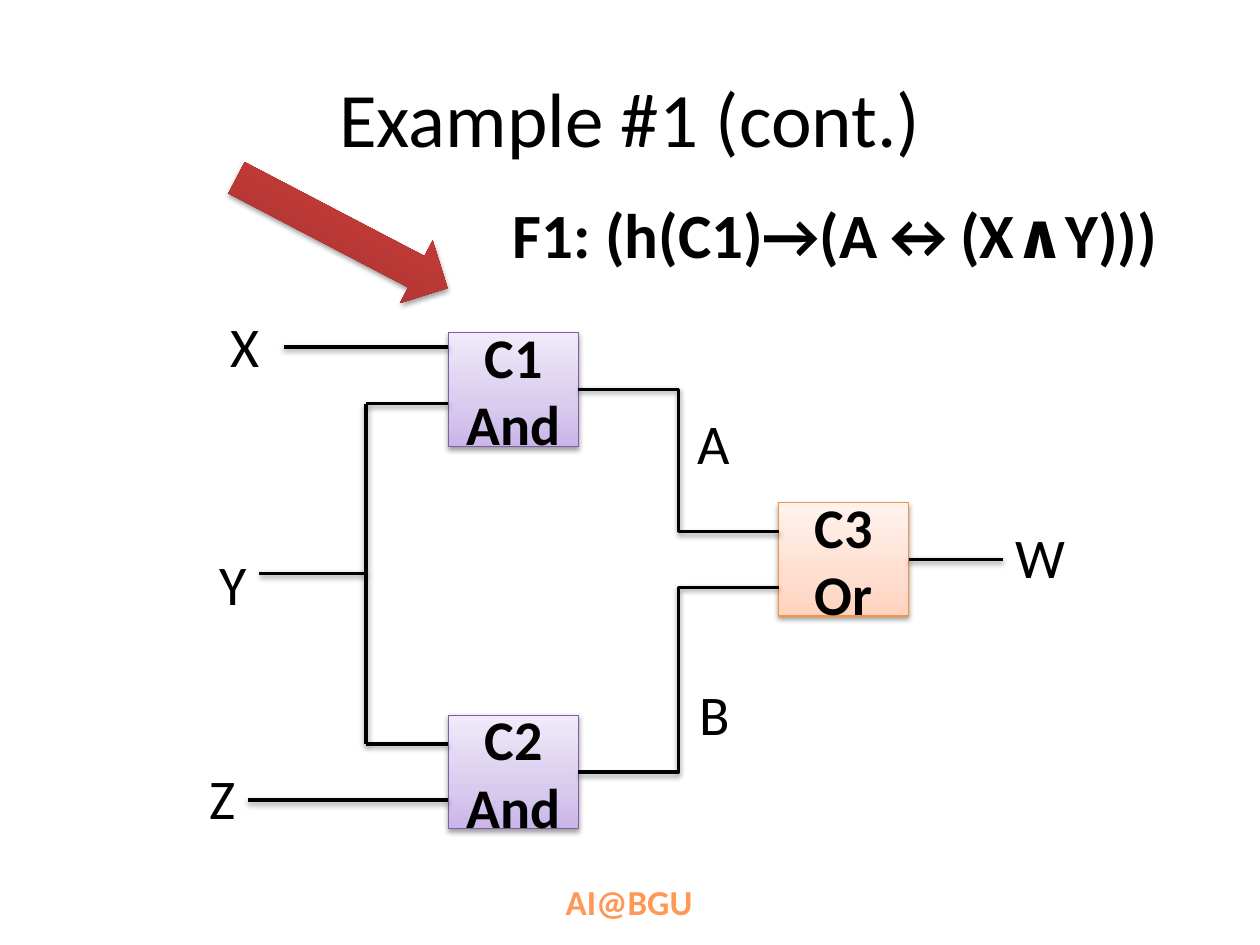
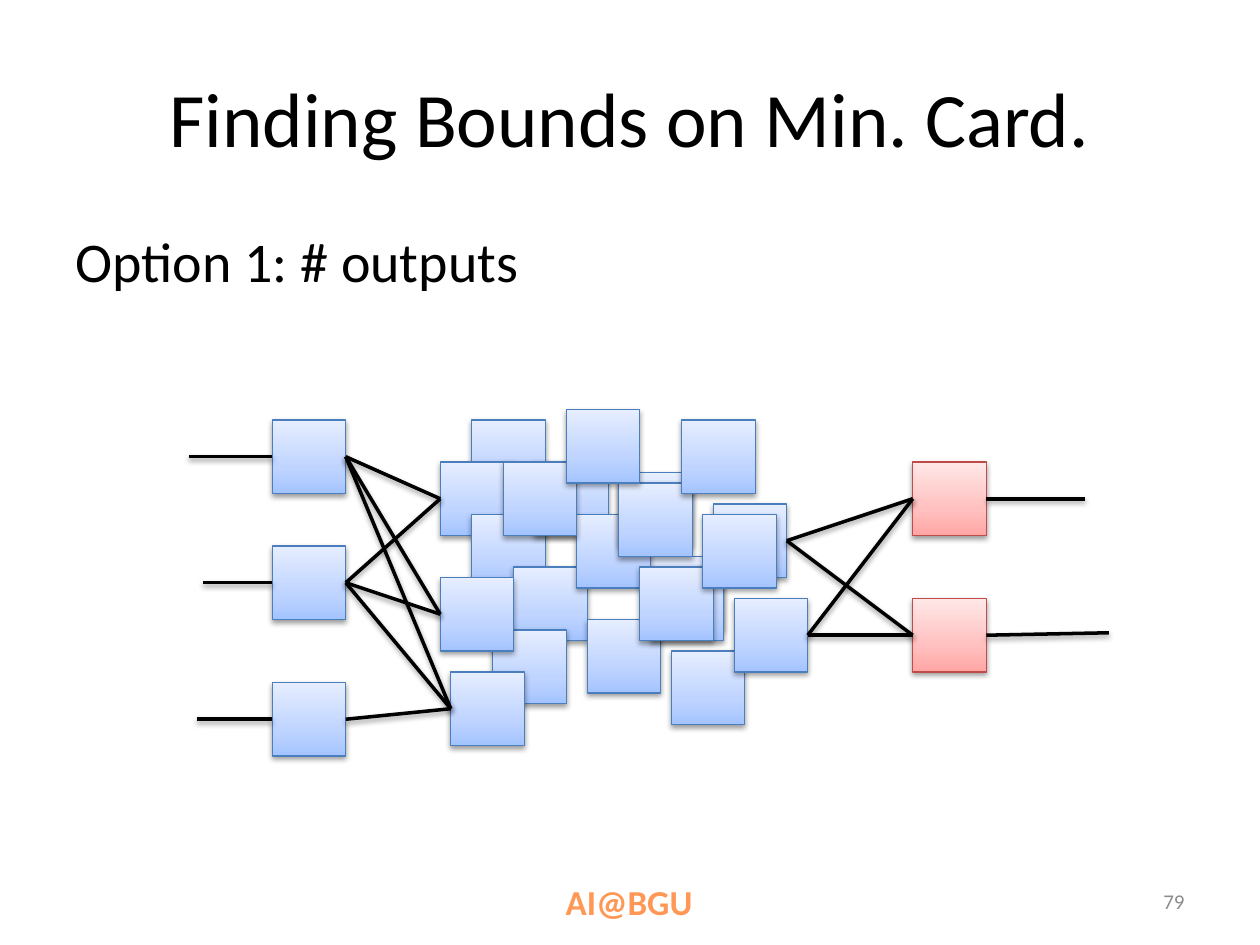
from copy import deepcopy

from pptx import Presentation
from pptx.dml.color import RGBColor
from pptx.enum.shapes import MSO_CONNECTOR, MSO_SHAPE
from pptx.enum.text import MSO_ANCHOR, PP_ALIGN
from pptx.oxml import parse_xml
from pptx.oxml.ns import nsdecls, qn
from pptx.util import Pt

RECTANGLE, RIGHT_ARROW = MSO_SHAPE.RECTANGLE, MSO_SHAPE.RIGHT_ARROW
STRAIGHT, ELBOW = MSO_CONNECTOR.STRAIGHT, MSO_CONNECTOR.ELBOW
LEFT, CENTER, RIGHT = PP_ALIGN.LEFT, PP_ALIGN.CENTER, PP_ALIGN.RIGHT
TOP, MIDDLE = MSO_ANCHOR.TOP, MSO_ANCHOR.MIDDLE

BLACK = RGBColor(0x00, 0x00, 0x00)
GREY = RGBColor(0x8C, 0x8C, 0x8C)
ORANGE = RGBColor(0xFF, 0x98, 0x56)
PURPLE_LINE = RGBColor(0x7D, 0x60, 0xA0)
PEACH_LINE = RGBColor(0xF6, 0x92, 0x40)
PINK_LINE = RGBColor(0xBF, 0x4C, 0x48)
BLUE_LINE = RGBColor(0x4B, 0x7E, 0xBC)
PURPLE = [(0, RGBColor(0xC9, 0xB5, 0xE8)), (0.35, RGBColor(0xD8, 0xCB, 0xEE)), (1, RGBColor(0xF0, 0xEA, 0xF9))]
PEACH = [(0, RGBColor(0xFF, 0xD2, 0xBD)), (0.35, RGBColor(0xFF, 0xDE, 0xD0)), (1, RGBColor(0xFF, 0xF2, 0xED))]
PINK = [(0, RGBColor(0xFF, 0xA6, 0xA5)), (0.35, RGBColor(0xFF, 0xC0, 0xBF)), (1, RGBColor(0xFF, 0xE7, 0xE7))]
BLUE = [(0, RGBColor(0xA4, 0xC4, 0xFF)), (0.35, RGBColor(0xBF, 0xD4, 0xFF)), (1, RGBColor(0xE6, 0xEE, 0xFF))]
RED = [(0, RGBColor(0x9C, 0x2F, 0x2D)), (0.8, RGBColor(0xCB, 0x3E, 0x3A)), (1, RGBColor(0xCE, 0x3B, 0x37))]

TITLE = {"size": Pt(44), "bold": False, "name": "Calibri"}
BODY = {"size": Pt(32), "bold": False, "name": "Calibri"}
GATE = {"size": Pt(32), "bold": True, "name": "Calibri"}
FORMULA = {"size": Pt(36), "bold": True, "name": "Calibri"}
FOOTER = {"size": Pt(20), "bold": True, "name": "Calibri"}
NUMBER = {"size": Pt(12), "bold": False, "name": "Calibri"}


def write_text(shape, text, font_format, color=BLACK, alignment=CENTER, anchor=MIDDLE):
    frame = shape.text_frame
    frame.text = text
    frame.word_wrap = True
    frame.vertical_anchor = anchor
    for paragraph in frame.paragraphs:
        paragraph.alignment = alignment
        font = paragraph.runs[0].font
        for name, value in font_format.items():
            setattr(font, name, value)
        font.color.rgb = color


def add_gradient_shape(slide, kind, box, stops, line_color=None):
    shape = slide.shapes.add_shape(kind, *map(Pt, box))
    shape.shadow.inherit = False
    shape.fill.gradient()
    shape.fill.gradient_angle = 90
    stop_list = shape.element.spPr.find(qn("a:gradFill")).find(qn("a:gsLst"))
    stop_list.append(deepcopy(stop_list[-1]))
    for stop, (position, color) in zip(shape.fill.gradient_stops, stops):
        stop.position = position
        stop.color.rgb = color
    if line_color is None:
        shape.line.fill.background()
    else:
        shape.line.color.rgb = line_color
        shape.line.width = Pt(0.75)
    return shape


presentation = Presentation()
presentation.slide_width, presentation.slide_height = Pt(720), Pt(540)
slides = []
for title in ["Example #1 (cont.)", "Finding Bounds on Min. Card."]:
    slide = presentation.slides.add_slide(presentation.slide_layouts[5])
    slides.append(slide)
    heading = slide.shapes.title
    heading.left, heading.top, heading.width, heading.height = Pt(36), Pt(21.6), Pt(648), Pt(90)
    write_text(heading, title, TITLE)
    footer = slide.shapes.add_textbox(Pt(316.1), Pt(499.7), Pt(228), Pt(28.8))
    write_text(footer, "AI@BGU", FOOTER, ORANGE, LEFT, TOP)
circuit_slide, bounds_slide = slides

GATE_LEFT, GATE_WIDTH, GATE_HEIGHT = 256.3, 74.2, 64.8
OR_LEFT = 445
for text, left, top, stops, line_color in [
    ("C1\nAnd", GATE_LEFT, 190.2, PURPLE, PURPLE_LINE),
    ("C2\nAnd", GATE_LEFT, 408.8, PURPLE, PURPLE_LINE),
    ("C3\nOr", OR_LEFT, 287.3, PEACH, PEACH_LINE),
]:
    gate = add_gradient_shape(circuit_slide, RECTANGLE, (left, top, GATE_WIDTH, GATE_HEIGHT), stops, line_color)
    write_text(gate, text, GATE)

AND_RIGHT = GATE_LEFT + GATE_WIDTH
OR_RIGHT = OR_LEFT + GATE_WIDTH
BRANCH = 209
circuit_wires = [
    (STRAIGHT, (162, 198.2), (GATE_LEFT, 198.2)),
    (STRAIGHT, (BRANCH, 230.6), (GATE_LEFT, 230.6)),
    (STRAIGHT, (BRANCH, 425), (GATE_LEFT, 425)),
    (STRAIGHT, (141.8, 457.3), (GATE_LEFT, 457.3)),
    (STRAIGHT, (BRANCH, 230.6), (BRANCH, 425)),
    (STRAIGHT, (BRANCH, 327.7), (148.3, 327.7)),
    (ELBOW, (AND_RIGHT, 441.2), (OR_LEFT, 335.7)),
    (ELBOW, (AND_RIGHT, 222.6), (OR_LEFT, 303.6)),
    (STRAIGHT, (OR_RIGHT, 319.7), (573.1, 319.7)),
]
for letter, left, top in [
    ("X", 121.7, 174.2),
    ("Y", 114.5, 310.3),
    ("Z", 108, 432.7),
    ("W", 573.1, 295.2),
    ("A", 390.2, 229.7),
    ("B", 390.2, 384.5),
]:
    label = circuit_slide.shapes.add_textbox(Pt(left), Pt(top), Pt(33.8), Pt(46))
    write_text(label, letter, BODY, alignment=RIGHT, anchor=TOP)

pointer = add_gradient_shape(circuit_slide, RIGHT_ARROW, (127.4, 113, 136.1, 40.3), RED)
pointer.rotation = 27.6
formula = circuit_slide.shapes.add_textbox(Pt(246.2), Pt(108), Pt(462.2), Pt(51.1))
write_text(formula, "F1: (h(C1)→(A↔(X∧Y)))", FORMULA, anchor=TOP)

body = bounds_slide.shapes.add_textbox(Pt(36), Pt(126), Pt(648), Pt(356.4))
write_text(body, "Option 1: # outputs", BODY, alignment=LEFT, anchor=TOP)
number = bounds_slide.shapes.add_textbox(Pt(516), Pt(500.5), Pt(168), Pt(28.8))
write_text(number, "79", NUMBER, GREY, RIGHT)

GRID_LEFT, GRID_TOP, STEP, SIDE = 155.6, 234, 6, 42
outputs = [(61, 5), (61, 18)]
inner = [
    (19, 1), (16, 5), (19, 10), (23, 15), (30, 20), (38, 23), (36, 14), (25, 5),
    (29, 10), (36, 15), (44, 18), (42, 9), (35, 15), (33, 6), (33, 7), (41, 10),
    (39, 1), (22, 5), (28, 0), (21, 21), (16, 16), (17, 25),
]
inputs = [(0, 13), (0, 1), (0, 26)]
left_ends, right_ends = {}, {}
for squares, stops, line_color in [(outputs, PINK, PINK_LINE), (inner + inputs, BLUE, BLUE_LINE)]:
    for column, row in squares:
        left, top = GRID_LEFT + column * STEP, GRID_TOP + row * STEP
        add_gradient_shape(bounds_slide, RECTANGLE, (left, top, SIDE, SIDE), stops, line_color)
        left_ends[column, row] = (left, top + SIDE / 2)
        right_ends[column, row] = (left + SIDE, top + SIDE / 2)

middle_input, top_input, bottom_input = inputs
top_entry, middle_entry, bottom_entry = (16, 5), (16, 16), (17, 25)
top_exit, bottom_exit = (42, 9), (44, 18)
links = [(source, entry) for source in (top_input, middle_input) for entry in (top_entry, middle_entry, bottom_entry)]
links.append((bottom_input, bottom_entry))
links += [(source, output) for source in (top_exit, bottom_exit) for output in outputs]
bounds_wires = [(STRAIGHT, right_ends[source], left_ends[target]) for source, target in links]
for square, start in [(top_input, 108), (middle_input, 116), (bottom_input, 112.5)]:
    bounds_wires.append((STRAIGHT, (start, left_ends[square][1]), left_ends[square]))
for square, end in zip(outputs, [(620, 285), (633.6, 361.6)]):
    bounds_wires.append((STRAIGHT, right_ends[square], end))

for slide, wires in [(circuit_slide, circuit_wires), (bounds_slide, bounds_wires)]:
    for kind, start, end in wires:
        wire = slide.shapes.add_connector(kind, *map(Pt, start + end))
        wire.line.color.rgb = BLACK
        wire.line.width = Pt(2)
        wire.element.spPr.append(parse_xml(f"<a:effectLst {nsdecls('a')}/>"))
    for effects in slide.element.iter(qn("a:effectLst")):
        effects.append(parse_xml(
            f'<a:outerShdw {nsdecls("a")} blurRad="40000" dist="20000" dir="5400000" rotWithShape="0">'
            '<a:srgbClr val="000000"><a:alpha val="38000"/></a:srgbClr></a:outerShdw>'
        ))

presentation.save("out.pptx")
